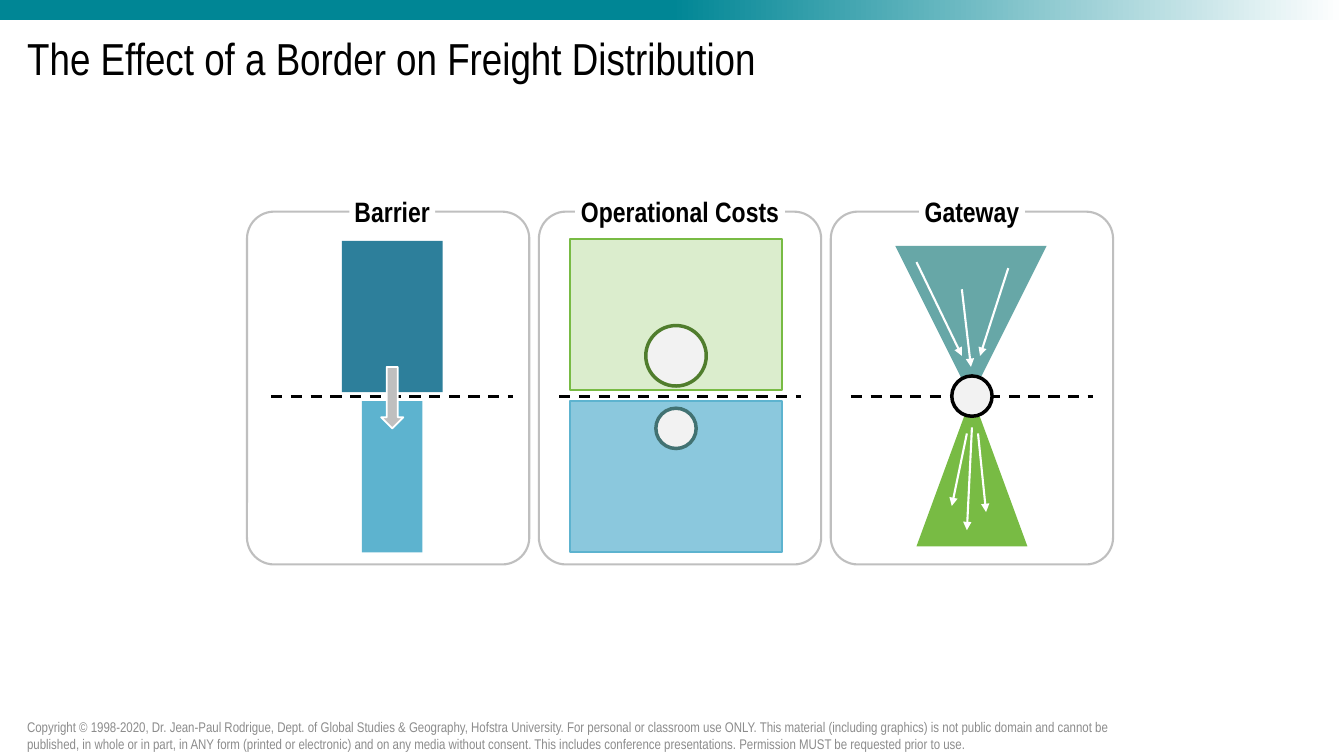
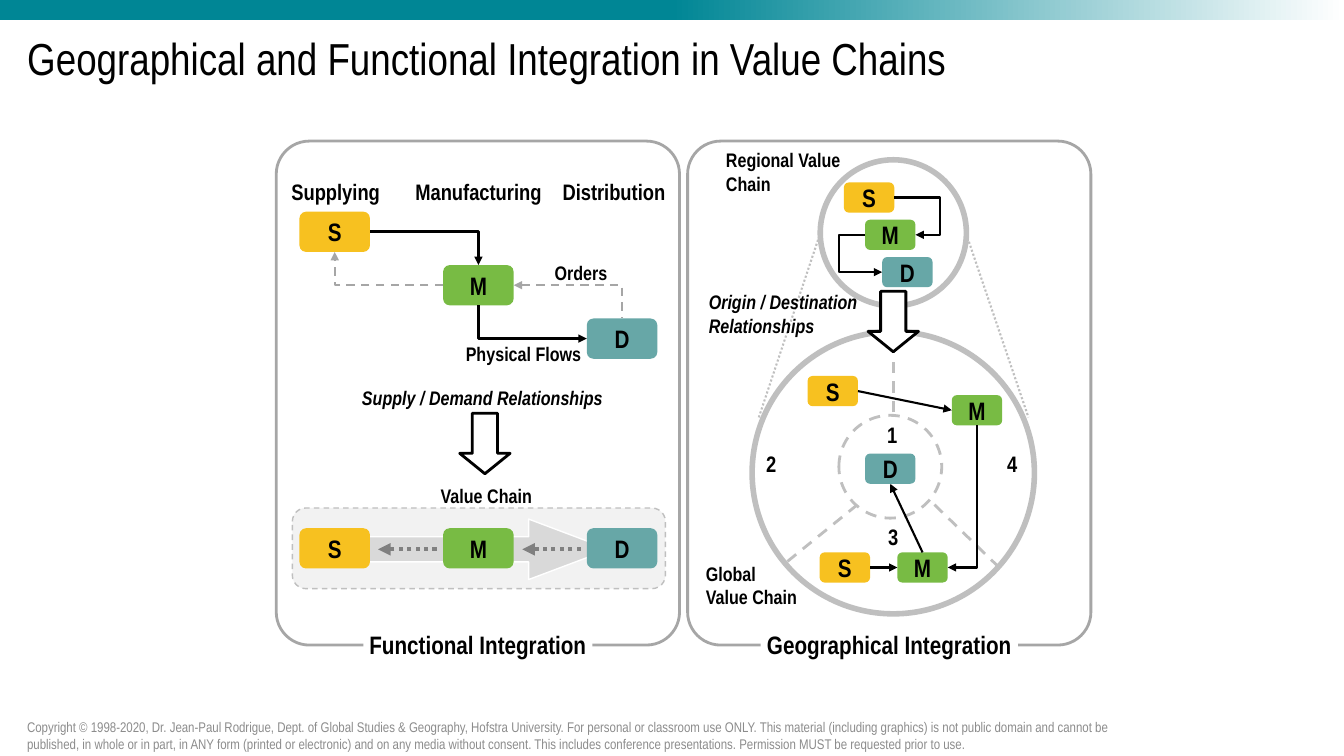
from dataclasses import dataclass

from lxml.etree import SubElement
from pptx import Presentation
from pptx.dml.color import RGBColor
from pptx.enum.dml import MSO_LINE
from pptx.enum.shapes import MSO_CONNECTOR, MSO_SHAPE
from pptx.enum.text import MSO_ANCHOR, PP_ALIGN
from pptx.oxml.ns import qn
from pptx.util import Inches, Pt

W, H = 13.33, 7.5
FONT = "Arial Narrow"
BLACK = RGBColor(0x00, 0x00, 0x00)
WHITE = RGBColor(0xFF, 0xFF, 0xFF)
BAND = RGBColor(0x00, 0x86, 0x95)
FOOTER_GRAY = RGBColor(0x8C, 0x8C, 0x8C)
DARK_GRAY = RGBColor(0x80, 0x80, 0x80)
MID_GRAY = RGBColor(0xA6, 0xA6, 0xA6)
GRAY = RGBColor(0xBF, 0xBF, 0xBF)
LIGHT_GRAY = RGBColor(0xD9, 0xD9, 0xD9)
PALE_GRAY = RGBColor(0xF2, 0xF2, 0xF2)
GREEN = RGBColor(0x78, 0xBB, 0x44)
PALE_GREEN = RGBColor(0xDB, 0xED, 0xCD)
DARK_GREEN = RGBColor(0x50, 0x7D, 0x2D)
TEAL = RGBColor(0x67, 0xA7, 0xA7)
DARK_TEAL = RGBColor(0x42, 0x72, 0x72)
DARK_BLUE = RGBColor(0x2D, 0x7F, 0x9B)
BLUE = RGBColor(0x5D, 0xB3, 0xCF)
PALE_BLUE = RGBColor(0x8B, 0xC8, 0xDD)
YELLOW = RGBColor(0xF7, 0xC1, 0x20)

DASH, DOT = MSO_LINE.DASH, MSO_LINE.ROUND_DOT
NODE_FILLS = {"S": YELLOW, "M": GREEN, "D": TEAL}
TOP, LEFT, BOTTOM, RIGHT = range(4)  # connection sites
COPYRIGHT = (
    "Copyright © 1998-2020, Dr. Jean-Paul Rodrigue, Dept. of Global Studies & Geography, "
    "Hofstra University. For personal or classroom use ONLY. This material (including "
    "graphics) is not public domain and cannot be published, in whole or in part, in ANY "
    "form (printed or electronic) and on any media without consent. This includes "
    "conference presentations. Permission MUST be requested prior to use.")


def set_line(line, color, width, dash=None):
    line.color.rgb = color
    line.width = Pt(width)
    if dash:
        line.dash_style = dash


def write(tf, lines, size, color=BLACK, bold=True, italic=False, align=PP_ALIGN.LEFT):
    for i, text in enumerate(lines):
        p = tf.paragraphs[0] if i == 0 else tf.add_paragraph()
        p.text = text
        p.alignment = align
        f = p.font
        f.name, f.size, f.bold, f.italic = FONT, Pt(size), bold, italic
        f.color.rgb = color


def set_margins(tf, side=0):
    tf.margin_left = tf.margin_right = Inches(side)
    tf.margin_top = tf.margin_bottom = 0


@dataclass
class Region:
    """Part of a slide; every position is relative to its top left corner."""
    s: object
    x: float = 0
    y: float = 0

    def at(self, x, y):
        return Inches(self.x + x), Inches(self.y + y)

    def shape(self, kind, x, y, w, h, fill=None, line=None, adj=()):
        sp = self.s.shapes.add_shape(kind, *self.at(x, y), Inches(w), Inches(h))
        sp.shadow.inherit = False
        for i, value in enumerate(adj):
            sp.adjustments[i] = value
        if fill is None:
            sp.fill.background()
        else:
            sp.fill.solid()
            sp.fill.fore_color.rgb = fill
        if line:
            set_line(sp.line, *line)
        else:
            sp.line.fill.background()
        return sp

    def circle(self, cx, cy, d, fill, line):
        return self.shape(MSO_SHAPE.OVAL, cx - d / 2, cy - d / 2, d, d, fill, line)

    def text(self, x, y, w, *lines, size=14, italic=False):
        tb = self.s.shapes.add_textbox(
            *self.at(x, y), Inches(w), Inches(len(lines) * size / 60))
        tf = tb.text_frame
        tf.word_wrap = False
        set_margins(tf)
        write(tf, lines, size, italic=italic)

    def label(self, cx, y, w, h, text, size):
        sp = self.shape(MSO_SHAPE.RECTANGLE, cx - w / 2, y, w, h, WHITE)
        tf = sp.text_frame
        tf.word_wrap = False
        tf.vertical_anchor = MSO_ANCHOR.TOP
        set_margins(tf, 0.05)
        write(tf, [text], size, align=PP_ALIGN.CENTER)

    def node(self, letter, x, y, w=0.5, h=0.3):
        sp = self.shape(MSO_SHAPE.ROUNDED_RECTANGLE, x, y, w, h, NODE_FILLS[letter])
        tf = sp.text_frame
        set_margins(tf)
        tf.vertical_anchor = MSO_ANCHOR.MIDDLE
        write(tf, [letter], 18, align=PP_ALIGN.CENTER)
        return sp

    def line(self, start, end, style, arrow=None, kind=MSO_CONNECTOR.STRAIGHT):
        c = self.s.shapes.add_connector(kind, *self.at(*start), *self.at(*end))
        set_line(c.line, *style)
        spPr = c.element.spPr
        if arrow:
            SubElement(spPr.find(qn("a:ln")), qn(f"a:{arrow}End"), type="triangle")
        SubElement(spPr, qn("a:effectLst"))
        return c

    def link(self, a, a_site, b, b_site, style, arrow="tail", bend=None, adj=None):
        """Join two nodes; bend 2 is an L, bend 3 a U placed by adj."""
        kind = MSO_CONNECTOR.ELBOW if bend else MSO_CONNECTOR.STRAIGHT
        c = self.line((0, 0), (1, 1), style, arrow, kind)
        c.begin_connect(a, a_site)
        c.end_connect(b, b_site)
        if bend:
            geom = c.element.spPr.find(qn("a:prstGeom"))
            geom.set("prst", f"bentConnector{bend}")
            if adj is not None:
                av = geom.find(qn("a:avLst"))
                if av is None:
                    av = SubElement(geom, qn("a:avLst"))
                SubElement(av, qn("a:gd"), name="adj1", fmla=f"val {round(adj * 100000)}")

    def down_arrow(self, x, y):
        self.shape(MSO_SHAPE.DOWN_ARROW, x, y, 0.5, 0.6, WHITE, (BLACK, 2), (0.5, 0.404))


# Shared layout: gradient band and title position
def prepare_layout(layout, s):
    band = Region(s).shape(MSO_SHAPE.RECTANGLE, 0, 0, W, 0.2)
    band.fill.gradient()
    band.fill.gradient_angle = 0
    for stop, pos, color in zip(band.fill.gradient_stops, (0.5, 1), (BAND, WHITE)):
        stop.position = pos
        stop.color.rgb = color
    layout.shapes.element.insert(2, band.element)
    title = layout.placeholders[0]
    title.left, title.top = Inches(0.17), Inches(0.2)
    title.width, title.height = Inches(13), Inches(0.8)


def title_and_footer(s, title):
    tf = s.shapes.title.text_frame
    tf.vertical_anchor = MSO_ANCHOR.MIDDLE
    write(tf, [title], 32, bold=False)
    tf.paragraphs[0].line_spacing = 0.9
    tb = s.shapes.add_textbox(Inches(0.17), Inches(7.1), Inches(10.95), Inches(0.4))
    tf = tb.text_frame
    tf.word_wrap = True
    tf.vertical_anchor = MSO_ANCHOR.MIDDLE
    write(tf, [COPYRIGHT], 10, FOOTER_GRAY, bold=False)


# Border slide: three panels, each crossed by a dashed border
def border_panel(s, i, name, label_w, axis=1.4):
    r = Region(s, 2.45 + 2.895 * i, 2.1)
    r.shape(MSO_SHAPE.ROUNDED_RECTANGLE, 0, 0, 2.8, 3.5, None, (GRAY, 1.5), (0.096,))
    r.label(axis, -0.17, label_w, 0.34, name, 20)
    r.line((axis - 1.2, 1.83), (axis + 1.2, 1.83), (BLACK, 2, DASH))
    return r


def barrier(s):
    r = border_panel(s, 0, "Barrier", 0.85, 1.44)
    r.shape(MSO_SHAPE.RECTANGLE, 0.94, 0.29, 1, 1.5, DARK_BLUE)
    r.shape(MSO_SHAPE.RECTANGLE, 1.14, 1.88, 0.6, 1.5, BLUE)
    r.shape(MSO_SHAPE.DOWN_ARROW, 1.33, 1.54, 0.22, 0.61, GRAY, (WHITE, 1.25))


def operational_costs(s):
    r = border_panel(s, 1, "Operational Costs", 2.08)
    for y, fill, edge in ((0.27, PALE_GREEN, GREEN), (1.88, PALE_BLUE, BLUE)):
        r.shape(MSO_SHAPE.RECTANGLE, 0.31, y, 2.1, 1.5, fill, (edge, 1.5))
    for cy, d, edge in ((1.43, 0.6, DARK_GREEN), (2.15, 0.4, DARK_TEAL)):
        r.circle(1.36, cy, d, PALE_GRAY, (edge, 2.5))


def gateway(s):
    r = border_panel(s, 2, "Gateway", 1.05)
    r.shape(MSO_SHAPE.ISOSCELES_TRIANGLE, 0.85, 1.82, 1.1, 1.5, GREEN)
    r.shape(MSO_SHAPE.ISOSCELES_TRIANGLE, 0.64, 0.34, 1.5, 1.5, TEAL).rotation = 180
    r.circle(1.4, 1.83, 0.4, PALE_GRAY, (BLACK, 2.5))
    for start, end in (((0.85, 0.5), (1.3, 1.43)), ((1.3, 0.77), (1.39, 1.54)),
                       ((1.76, 0.56), (1.48, 1.43)), ((1.35, 2.2), (1.2, 2.92)),
                       ((1.4, 2.14), (1.35, 3.16)), ((1.46, 2.2), (1.54, 2.98))):
        r.line(start, end, (WHITE, 1.5), "tail")


# Value chain slide: two large panels
def integration_panel(s, x, name, label_w):
    r = Region(s, x, 1.4)
    r.shape(MSO_SHAPE.ROUNDED_RECTANGLE, 0, 0, 4, 5, None, (MID_GRAY, 2), (0.082,))
    r.label(2, 4.84, label_w, 0.3, name, 18)
    return r


def functional(s):
    r = integration_panel(s, 2.74, "Functional Integration", 2.27)
    for x, w, head in ((0.15, 0.89, "Supplying"), (1.38, 1.26, "Manufacturing"),
                       (2.84, 1.03, "Distribution")):
        r.text(x, 0.37, w, head, size=16)

    # Steps from supplying to distribution
    S, M, D = (r.node(k, 0.23 + 1.425 * i, 0.7 + 0.53 * i, 0.7, 0.4)
               for i, k in enumerate("SMD"))
    flow, order = (BLACK, 2), (MID_GRAY, 1.5, DASH)
    r.link(S, RIGHT, M, TOP, flow, bend=2)
    r.link(D, LEFT, M, BOTTOM, flow, "head", bend=2)
    r.link(M, RIGHT, D, TOP, order, "head", bend=2)
    r.link(M, LEFT, S, BOTTOM, order, bend=2)
    r.text(2.76, 1.19, 0.53, "Orders")
    r.text(1.88, 1.99, 1.16, "Physical Flows")
    r.text(0.85, 2.43, 2.41, "Supply / Demand Relationships", italic=True)
    r.down_arrow(1.82, 2.7)

    # Integrated chain
    r.text(1.63, 3.4, 0.91, "Value Chain")
    r.shape(MSO_SHAPE.ROUNDED_RECTANGLE, 0.16, 3.64, 3.7, 0.8, PALE_GRAY, (GRAY, 1, DASH))
    r.shape(MSO_SHAPE.RIGHT_ARROW, 0.7, 3.75, 2.6, 0.6, LIGHT_GRAY, (WHITE, 1),
            (0.415, 1.327))
    for i, k in enumerate("SMD"):
        r.node(k, 0.23 + 1.425 * i, 3.84, 0.7, 0.4)
    for x in (1.59, 3.02):
        r.line((x, 4.05), (x - 0.58, 4.05), (DARK_GRAY, 3, DOT), "tail")


def geographical(s):
    r = integration_panel(s, 6.82, "Geographical Integration", 2.55)
    flow, divider = (BLACK, 1.5), (GRAY, 2, DASH)

    # Regional chain
    r.circle(2.04, 0.91, 1.45, None, (GRAY, 4))
    S, M, D = (r.node(k, x, 0.41 + 0.37 * i)
               for i, (k, x) in enumerate(zip("SMD", (1.55, 1.76, 1.93))))
    r.link(S, RIGHT, M, RIGHT, flow, bend=3, adj=2.14)
    r.link(M, LEFT, D, LEFT, flow, bend=3, adj=-1.5)
    r.text(0.38, 0.07, 1.19, "Regional Value", "Chain")

    # Global chain and its zones
    r.circle(2.04, 3.29, 2.8, None, (GRAY, 4))
    r.circle(2.01, 3.23, 1.02, None, divider)
    for start, end in (((2.04, 2.69), (2.04, 1.92)), ((0.99, 4.17), (1.68, 3.61)),
                       ((3.09, 4.23), (2.4, 3.56))):
        r.line(start, end, divider)
    for x, y, zone in ((1.98, 2.78, "1"), (0.78, 3.07, "2"),
                       (1.99, 3.79, "3"), (3.17, 3.07, "4")):
        r.text(x, y, 0.1, zone, size=16)
    S, M, D = r.node("S", 1.19, 2.33), r.node("M", 2.62, 2.52), r.node("D", 1.76, 3.1)
    S2, M2 = r.node("S", 1.31, 4.08), r.node("M", 2.08, 4.08)
    r.link(S, RIGHT, M, LEFT, flow)
    r.link(S2, RIGHT, M2, LEFT, flow)
    r.link(M2, RIGHT, M, BOTTOM, flow, "head", bend=2)
    r.link(M2, TOP, D, BOTTOM, flow)
    r.text(0.18, 4.17, 0.91, "Global", "Value Chain")

    # Zoom from regional to global
    for start, end in (((1.32, 0.9), (0.7, 2.76)), ((2.75, 0.88), (3.38, 2.74))):
        r.line(start, end, (GRAY, 1.5, DOT))
    r.down_arrow(1.79, 1.49)
    r.text(0.21, 1.48, 1.54, "Origin / Destination", "Relationships", italic=True)


def main():
    prs = Presentation()
    prs.slide_width, prs.slide_height = Inches(W), Inches(H)
    layout = prs.slide_layouts[5]
    slides = (
        ("The Effect of a Border on Freight Distribution",
         (barrier, operational_costs, gateway)),
        ("Geographical and Functional Integration in Value Chains",
         (functional, geographical)))
    for i, (title, panels) in enumerate(slides):
        s = prs.slides.add_slide(layout)
        if i == 0:
            prepare_layout(layout, s)
        title_and_footer(s, title)
        for panel in panels:
            panel(s)
    prs.save("out.pptx")


if __name__ == "__main__":
    main()
